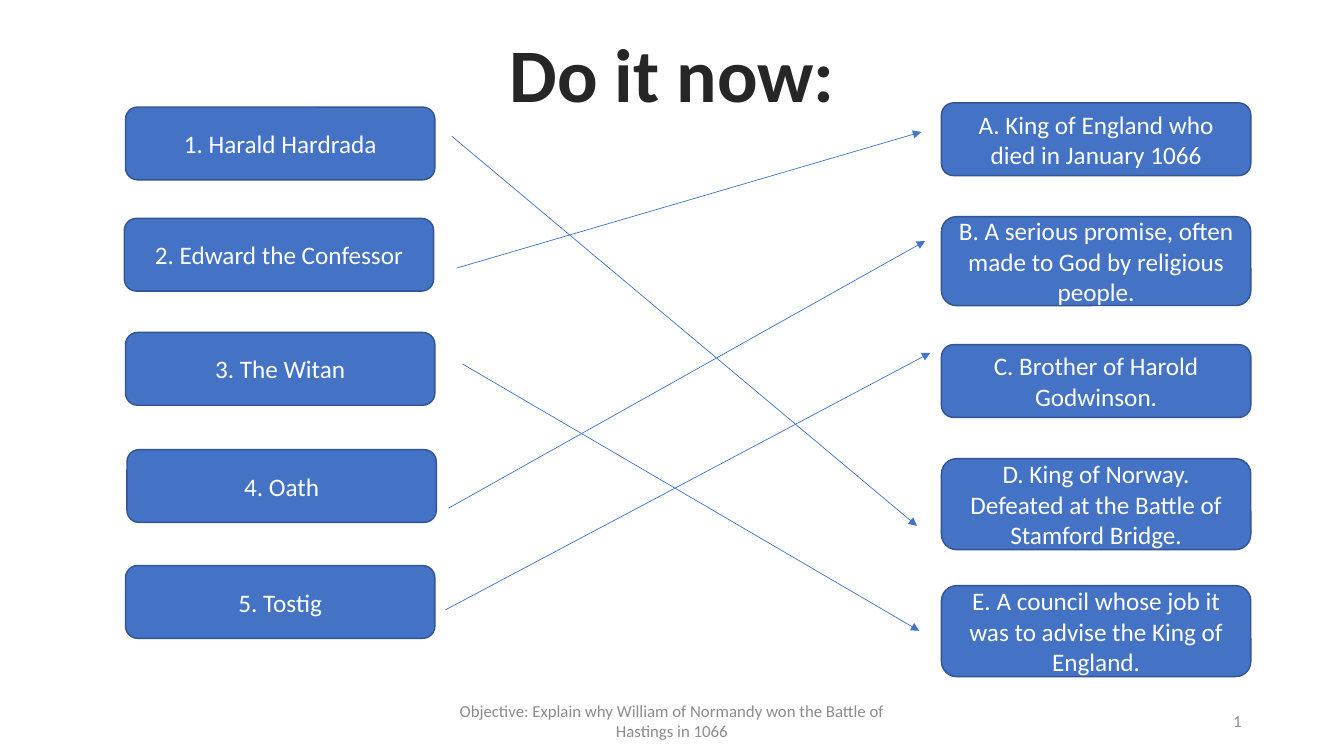
from dataclasses import dataclass

from lxml import etree
from pptx import Presentation
from pptx.dml.color import RGBColor
from pptx.enum.shapes import MSO_CONNECTOR, MSO_SHAPE
from pptx.enum.text import MSO_ANCHOR, MSO_AUTO_SIZE, PP_ALIGN
from pptx.oxml.ns import qn
from pptx.shapes.autoshape import Shape
from pptx.slide import Slide
from pptx.text.text import TextFrame
from pptx.util import Pt

ROUNDED = MSO_SHAPE.ROUNDED_RECTANGLE
STRAIGHT = MSO_CONNECTOR.STRAIGHT
TOP, MIDDLE = MSO_ANCHOR.TOP, MSO_ANCHOR.MIDDLE
CENTER, RIGHT = PP_ALIGN.CENTER, PP_ALIGN.RIGHT
FIT_SHAPE = MSO_AUTO_SIZE.SHAPE_TO_FIT_TEXT

BLUE = RGBColor(0x44, 0x72, 0xC4)
DARK_BLUE = RGBColor(0x32, 0x54, 0x91)
WHITE = RGBColor(0xFF, 0xFF, 0xFF)
INK = RGBColor(0x26, 0x26, 0x26)
GREY = RGBColor(0x8C, 0x8C, 0x8C)

FONT = "Calibri"
CARD_WIDTH = 221
SHORT, MEDIUM, TALL = 52, 63.5, 65
ANSWER_LEFT = 672.5


@dataclass
class Card:
    text: str
    left: float
    top: float
    height: float = SHORT


@dataclass
class Match:
    start_x: float
    start_y: float
    end_x: float
    end_y: float


@dataclass
class Label:
    text: str
    left: float
    top: float
    width: float
    height: float
    align: PP_ALIGN


CARDS = [
    Card("1. Harald Hardrada", 89.7, 76.5),
    Card("2. Edward the Confessor", 88.8, 156),
    Card("3. The Witan", 89.7, 237.5),
    Card("4. Oath", 90.7, 321.2),
    Card("5. Tostig", 89.7, 404),
    Card("A. King of England who died in January 1066", ANSWER_LEFT, 73.5),
    Card("B. A serious promise, often made to God by religious people.",
         ANSWER_LEFT, 154.8, MEDIUM),
    Card("C. Brother of Harold Godwinson.", ANSWER_LEFT, 246.2),
    Card("D. King of Norway. Defeated at the Battle of Stamford Bridge.",
         ANSWER_LEFT, 327.6, TALL),
    Card("E. A council whose job it was to advise the King of England.",
         ANSWER_LEFT, 418.3, TALL),
]

MATCHES = [
    Match(322.7, 97.3, 655, 375.7),
    Match(326.2, 191.5, 658, 94.3),
    Match(330.4, 260, 656.6, 450.6),
    Match(320.4, 363, 660.8, 172.2),
    Match(318.2, 435.6, 664.5, 252),
]

TITLE = Label("Do it now:", 355.7, 15.8, 249, 72.7, CENTER)
FOOTERS = [
    Label("Objective: Explain why William of Normandy won the Battle of "
          "Hastings in 1066", 318, 500.5, 324, 28.75, CENTER),
    Label("1", 678, 500.5, 216, 28.75, RIGHT),
]


def write(frame: TextFrame, text: str, size: float, color: RGBColor,
          align: PP_ALIGN, anchor: MSO_ANCHOR) -> None:
    frame.text = text
    frame.vertical_anchor = anchor
    para = frame.paragraphs[0]
    para.alignment = align
    font = para.runs[0].font
    font.name = FONT
    font.size = Pt(size)
    font.color.rgb = color


def add_label(page: Slide, label: Label, size: float, color: RGBColor,
              anchor: MSO_ANCHOR) -> Shape:
    box = page.shapes.add_textbox(Pt(label.left), Pt(label.top),
                                  Pt(label.width), Pt(label.height))
    box.text_frame.word_wrap = True
    write(box.text_frame, label.text, size, color, label.align, anchor)
    return box


def add_title(page: Slide) -> None:
    frame = add_label(page, TITLE, 54, INK, TOP).text_frame
    frame.word_wrap = False
    frame.auto_size = FIT_SHAPE
    span = frame.paragraphs[0].runs[0]
    span.font.bold = True
    outline = etree.Element(qn("a:ln"), w=str(Pt(1.06)))
    fill = etree.SubElement(outline, qn("a:solidFill"))
    etree.SubElement(fill, qn("a:srgbClr"), val=str(WHITE))
    span.font._element.insert(0, outline)


def add_card(page: Slide, card: Card) -> None:
    box = page.shapes.add_shape(ROUNDED, Pt(card.left), Pt(card.top),
                                Pt(CARD_WIDTH), Pt(card.height))
    box.shadow.inherit = False
    box.fill.solid()
    box.fill.fore_color.rgb = BLUE
    box.line.color.rgb = DARK_BLUE
    box.line.width = Pt(1)
    box.text_frame.word_wrap = True
    write(box.text_frame, card.text, 18, WHITE, CENTER, MIDDLE)


def add_match(page: Slide, match: Match) -> None:
    arrow = page.shapes.add_connector(STRAIGHT, Pt(match.start_x), Pt(match.start_y),
                                      Pt(match.end_x), Pt(match.end_y))
    arrow.line.color.rgb = BLUE
    arrow.line.width = Pt(0.5)
    properties = arrow._element.spPr
    etree.SubElement(properties.find(qn("a:ln")), qn("a:tailEnd"), type="triangle")
    etree.SubElement(properties, qn("a:effectLst"))


def main() -> None:
    deck = Presentation()
    deck.slide_width, deck.slide_height = Pt(960), Pt(540)
    page = deck.slides.add_slide(deck.slide_layouts[6])
    for footer in FOOTERS:
        add_label(page, footer, 12, GREY, MIDDLE)
    add_title(page)
    for card in CARDS:
        add_card(page, card)
    for match in MATCHES:
        add_match(page, match)
    deck.save("out.pptx")


if __name__ == "__main__":
    main()
